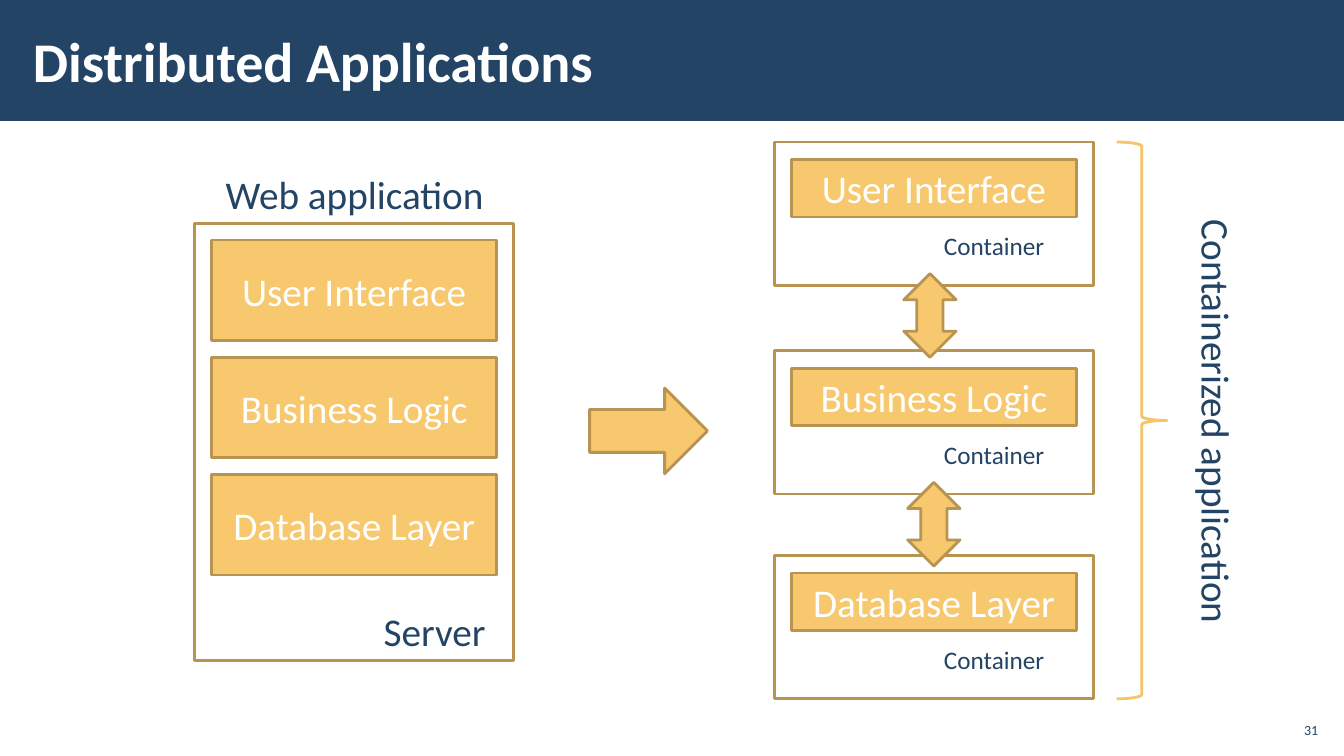
from dataclasses import dataclass

from pptx import Presentation
from pptx.dml.color import RGBColor
from pptx.enum.shapes import MSO_SHAPE
from pptx.enum.text import MSO_ANCHOR, PP_ALIGN
from pptx.util import Cm, Pt

RECTANGLE = MSO_SHAPE.RECTANGLE
RIGHT_ARROW = MSO_SHAPE.RIGHT_ARROW
DOUBLE_ARROW = MSO_SHAPE.LEFT_RIGHT_ARROW
RIGHT_BRACE = MSO_SHAPE.RIGHT_BRACE
TOP, MIDDLE = MSO_ANCHOR.TOP, MSO_ANCHOR.MIDDLE
LEFT, CENTER, RIGHT = PP_ALIGN.LEFT, PP_ALIGN.CENTER, PP_ALIGN.RIGHT
TITLE_ONLY = 5


@dataclass(frozen=True)
class Theme:
    font: str = "Calibri"
    navy: str = "234465"
    amber: str = "F7C86D"
    brace: str = "F5C567"
    outline: str = "B79451"
    white: str = "FFFFFF"
    title_size: int = 40
    label_size: int = 28
    caption_size: int = 18
    number_size: int = 10
    line_width: int = 2


class SlideBuilder:
    def __init__(self, slide, theme):
        self.slide = slide
        self.theme = theme

    def set_text(self, box, text, size, color, align=LEFT, anchor=TOP, bold=False):
        frame = box.text_frame
        frame.word_wrap = True
        frame.vertical_anchor = anchor
        frame.text = text
        para = frame.paragraphs[0]
        para.alignment = align
        font = para.runs[0].font
        font.name, font.size, font.bold = self.theme.font, Pt(size), bold
        font.color.rgb = RGBColor.from_string(color)
        return frame

    def shape(self, kind, left, top, width, height, fill=None, line=None, rotation=0):
        shape = self.slide.shapes.add_shape(kind, Cm(left), Cm(top), Cm(width), Cm(height))
        shape.shadow.inherit = False
        shape.rotation = rotation
        if fill:
            shape.fill.solid()
            shape.fill.fore_color.rgb = RGBColor.from_string(fill)
        else:
            shape.fill.background()
        if line:
            shape.line.color.rgb = RGBColor.from_string(line)
            shape.line.width = Pt(self.theme.line_width)
        else:
            shape.line.fill.background()
        return shape

    def frame(self, left, top, width, height):
        self.shape(RECTANGLE, left, top, width, height, line=self.theme.outline)

    def solid(self, kind, left, top, width, height, rotation=0):
        return self.shape(kind, left, top, width, height,
                          self.theme.amber, self.theme.outline, rotation)

    def layer(self, name, left, top, width, height):
        box = self.solid(RECTANGLE, left, top, width, height)
        self.set_text(box, name, self.theme.label_size, self.theme.white, CENTER, MIDDLE)

    def label(self, text, left, top, width, height, size, rotation=0, align=LEFT, anchor=TOP):
        box = self.slide.shapes.add_textbox(Cm(left), Cm(top), Cm(width), Cm(height))
        box.rotation = rotation
        return self.set_text(box, text, size, self.theme.navy, align, anchor)

    def title(self, text, band_width, band_height):
        title = self.slide.shapes.title
        band = self.shape(RECTANGLE, 0, 0, band_width, band_height, self.theme.navy)
        title._element.addprevious(band._element)
        title.left, title.top, title.width, title.height = Cm(0.53), Cm(0.28), Cm(26.42), Cm(2.46)
        frame = self.set_text(title, text, self.theme.title_size, self.theme.white,
                              anchor=MIDDLE, bold=True)
        frame.margin_left = frame.margin_right = Cm(0.3)
        frame.margin_top = frame.margin_bottom = Cm(0.1)

    def page_number(self, text):
        frame = self.label(text, 32.13, 18.14, 1.19, 0.53, self.theme.number_size,
                           align=RIGHT, anchor=MIDDLE)
        frame.margin_left = frame.margin_right = Cm(0.1)
        frame.margin_top = frame.margin_bottom = Cm(0.1)


def main():
    theme = Theme()
    deck = Presentation()
    deck.slide_width, deck.slide_height = Cm(33.87), Cm(19.05)
    page = SlideBuilder(deck.slides.add_slide(deck.slide_layouts[TITLE_ONLY]), theme)
    page.title("Distributed Applications", 33.87, 3.05)
    page.page_number("31")

    layers = ["User Interface", "Business Logic", "Database Layer"]
    frame_width, layer_width, inset = 8.05, 7.19, 0.43

    # Single server holding all layers
    server_left, server_top = 4.9, 5.64
    page.frame(server_left, server_top, frame_width, 11)
    for index, name in enumerate(layers):
        page.layer(name, server_left + inset, 6.05 + index * 2.95, layer_width, 2.54)
    page.label("Server", 9.42, 15.19, 3.2, 1.45, theme.label_size)
    page.label("Web application", 5.44, 4.17, 7.2, 1.45, theme.label_size)

    # One container per layer
    container_left, container_height = 19.51, 3.61
    container_tops = [3.58, 8.84, 14]
    for name, top in zip(layers, container_tops):
        page.frame(container_left, top, frame_width, container_height)
        page.layer(name, container_left + inset, top + 0.44, layer_width, 1.45)
        page.label("Container", 23.54, top + 2.11, 3.91, 1.27, theme.caption_size)

    # Links between neighbouring containers
    for left, top in [(22.38, 7.29), (22.48, 12.55)]:
        page.solid(DOUBLE_ARROW, left, top, 2.11, 1.32, rotation=270)

    # Brace around the containers
    brace_top = container_tops[0]
    brace_height = container_tops[-1] + container_height - brace_top
    page.shape(RIGHT_BRACE, 28.14, brace_top, 1.27, brace_height, line=theme.brace)
    page.label("Containerized application", 25.27, 9.96, 10.8, 1.45,
               theme.label_size, rotation=90)

    # Step from server to containers
    page.solid(RIGHT_ARROW, 14.86, 9.78, 2.97, 2.16)

    deck.save("out.pptx")


if __name__ == "__main__":
    main()
